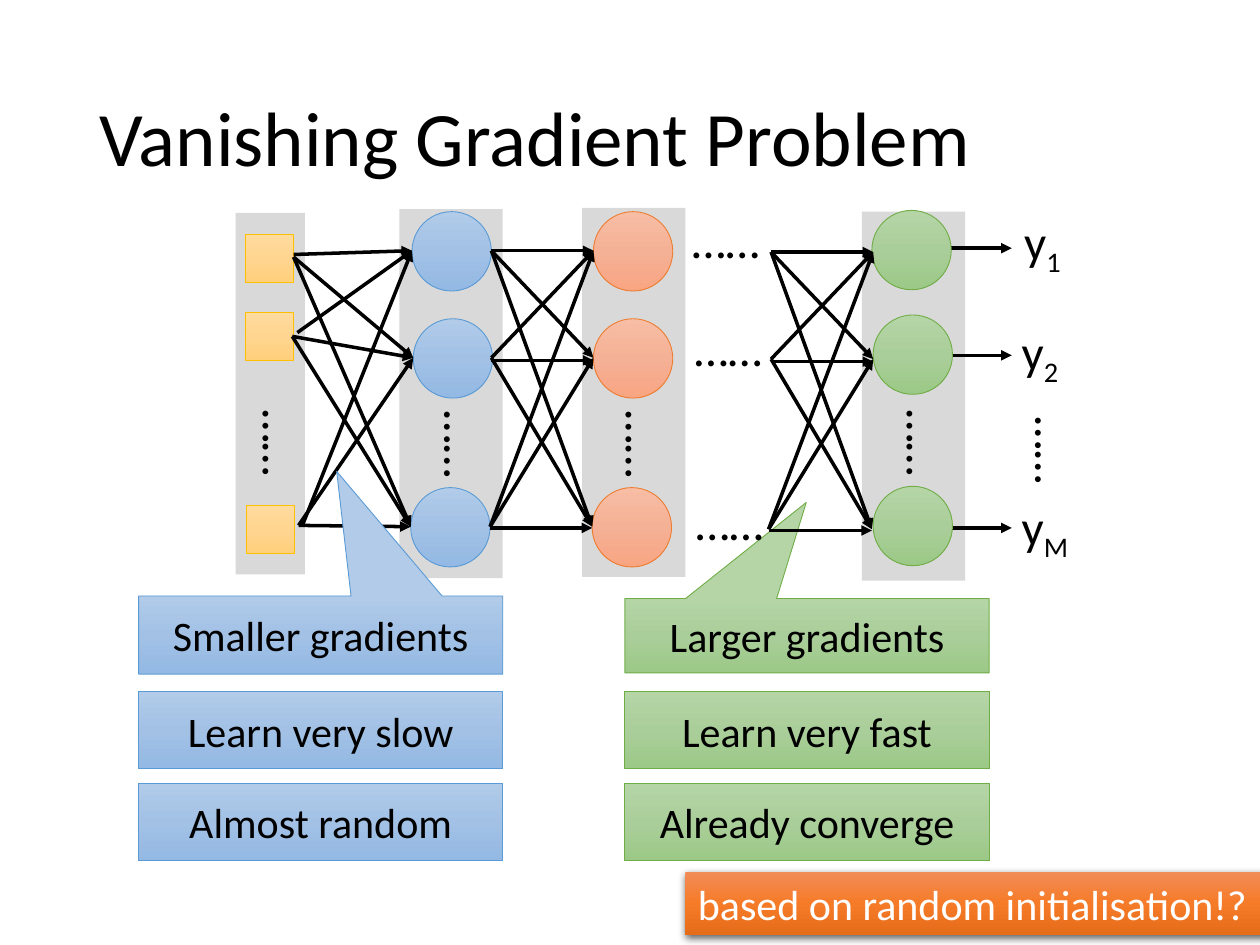
"""Build the slide on the vanishing gradient problem in a deep network."""
import copy
import itertools

import lxml.etree
import pptx
import pptx.dml.color
import pptx.enum.shapes
import pptx.enum.text
import pptx.oxml.ns
import pptx.util

Inches = pptx.util.Inches
Pt = pptx.util.Pt
qn = pptx.oxml.ns.qn
SHAPES = pptx.enum.shapes.MSO_SHAPE
ALIGN = pptx.enum.text.PP_ALIGN
ANCHOR = pptx.enum.text.MSO_ANCHOR

FONT = "Calibri"
DOTS = "……"
BLUE = (("B1CBE9", "A3C1E5", "93B9E4"), "5B9BD5")
GREEN = (("B5D5A7", "AACE9A", "9CC987"), "70AD47")
SALMON = (("F7BDA5", "F5B196", "F8A582"), "ED7D31")
YELLOW = (("FFDB9E", "FFD590", "FFD07C"), "FFC000")
ORANGE = (("F18C57", "F67B28", "E56C19"), None)


def color(value):
    """Turn a hex string into a colour."""
    return pptx.dml.color.RGBColor.from_string(value)


def frame(left, top, width, height):
    """Convert a place and size in inches to lengths."""
    return [Inches(value) for value in (left, top, width, height)]


def write(shape, text, size, ink="000000", align=ALIGN.CENTER, anchor=ANCHOR.MIDDLE, subscript=""):
    """Write one paragraph, with an optional subscript run."""
    body = shape.text_frame
    body.word_wrap = True
    body.vertical_anchor = anchor
    para = body.paragraphs[0]
    para.alignment = align
    for part in filter(None, (text, subscript)):
        span = para.add_run()
        span.text = part
        span.font.name = FONT
        span.font.size = Pt(size)
        span.font.color.rgb = color(ink)
    if subscript:
        span.font._element.set("baseline", "-25000")
    return para


def add_label(page, place, text, size=28, rotation=0, **style):
    """Add a text box."""
    box = page.shapes.add_textbox(*frame(*place))
    box.rotation = rotation
    return write(box, text, size, **style)


def add_dots(page, left, top, rotation=0):
    """Add a row or, when rotated, a column of dots."""
    add_label(page, (left, top, 0.84, 0.57), DOTS, rotation=rotation, anchor=ANCHOR.TOP)


def add_block(page, kind, place, theme):
    """Add a shape with a three-stop vertical gradient and a thin outline."""
    shades, edge = theme
    shape = page.shapes.add_shape(kind, *frame(*place))
    shape.shadow.inherit = False
    shape.fill.gradient()
    shape.fill.gradient_angle = 270
    stop_list = shape._element.spPr.find(".//" + qn("a:gsLst"))
    stop_list.insert(1, copy.deepcopy(stop_list[0]))
    for stop, shade, position in zip(shape.fill.gradient_stops, shades, (0, 0.5, 1)):
        stop.color.rgb = color(shade)
        stop.position = position
    if edge:
        shape.line.color.rgb = color(edge)
        shape.line.width = Pt(0.5)
    else:
        shape.line.fill.background()
    return shape


def add_callout(page, place, theme, text, pointer):
    """Add a callout whose pointer is given relative to its size."""
    shape = add_block(page, SHAPES.RECTANGULAR_CALLOUT, place, theme)
    shape.adjustments[0], shape.adjustments[1] = pointer
    write(shape, text, 24)


def add_band(page, place):
    """Add the grey band behind a layer."""
    shape = page.shapes.add_shape(SHAPES.RECTANGLE, *frame(*place))
    shape.shadow.inherit = False
    shape.fill.solid()
    shape.fill.fore_color.rgb = color("D9D9D9")
    shape.line.fill.background()


def add_arrow(page, start, end):
    """Add a black arrow between two points."""
    points = [Inches(value) for value in (*start, *end)]
    arrow = page.shapes.add_connector(pptx.enum.shapes.MSO_CONNECTOR.STRAIGHT, *points)
    arrow.line.color.rgb = color("000000")
    arrow.line.width = Pt(2)
    lxml.etree.SubElement(arrow.line._get_or_add_ln(), qn("a:tailEnd"), type="triangle")
    lxml.etree.SubElement(arrow._element.spPr, qn("a:effectLst"))


def connect(page, starts, ends):
    """Draw an arrow from every start to every end."""
    for start, end in itertools.product(starts, ends):
        add_arrow(page, start, end)


def add_dense_links(page, starts, ends, levels):
    """Link two layers, keeping links within a row level."""
    for (row, start), (target, end) in itertools.product(enumerate(starts), enumerate(ends)):
        if row == target:
            add_arrow(page, (start[0], levels[row]), (end[0], levels[row]))
        else:
            add_arrow(page, start, end)


def add_banner(page):
    """Add the orange banner with its soft shadow."""
    banner = add_block(page, SHAPES.RECTANGLE, (5.44, 6.92, 4.75, 0.5), ORANGE)
    write(banner, "based on random initialisation!?", 24, "FFFFFF", ALIGN.LEFT, ANCHOR.TOP)
    effects = banner._element.spPr.find(qn("a:effectLst"))
    shadow = lxml.etree.SubElement(
        effects, qn("a:outerShdw"), blurRad=str(Pt(4.5)), dist=str(Pt(1.5)),
        dir="5400000", algn="ctr", rotWithShape="0")
    tone = lxml.etree.SubElement(shadow, qn("a:srgbClr"), val="000000")
    lxml.etree.SubElement(tone, qn("a:alpha"), val="63000")


def add_remarks(page):
    """Add the two columns of remarks under the network."""
    columns = ((1.1, BLUE, ("Learn very slow", "Almost random")),
               (4.96, GREEN, ("Learn very fast", "Already converge")))
    for left, theme, remarks in columns:
        for row, remark in enumerate(remarks):
            place = (left, 5.49 + 0.73 * row, 2.89, 0.61)
            write(add_block(page, SHAPES.RECTANGLE, place, theme), remark, 24)


def add_nodes(page):
    """Add the units of every layer and the dots between them."""
    layers = (
        (SHAPES.RECTANGLE, 0.38, YELLOW, ((1.95, 1.86), (1.95, 2.48), (1.96, 4.01)), (1.82, 3.23)),
        (SHAPES.OVAL, 0.63, BLUE, ((3.27, 1.68), (3.28, 2.53), (3.26, 3.87)), (3.26, 3.24)),
        (SHAPES.OVAL, 0.63, SALMON, ((4.71, 1.68), (4.71, 2.53), (4.7, 3.87)), (4.7, 3.24)),
        (SHAPES.OVAL, 0.63, GREEN, ((6.92, 1.67), (6.93, 2.5), (6.93, 3.86)), (6.93, 3.23)),
    )
    for kind, size, theme, corners, dots in layers:
        for left, top in corners:
            add_block(page, kind, (left, top, size, size), theme)
        add_dots(page, *dots, rotation=90)
    for left, top in ((5.34, 1.61), (5.36, 2.47), (5.37, 3.85)):
        add_dots(page, left, top)


def add_links(page):
    """Add the arrows between neighbouring layers."""
    first_hidden = [(3.27, 1.99), (3.28, 2.84), (3.26, 4.18)]
    connect(page, [(2.33, 2.02), (2.36, 2.64), (2.4, 4.17)], first_hidden[:1])
    connect(page, [(2.33, 2.04), (2.32, 2.67), (2.37, 4.17)], first_hidden[1:])
    add_dense_links(page, [(3.9, 1.99), (3.9, 2.84), (3.89, 4.18)],
                    [(4.71, 1.99), (4.71, 2.84), (4.7, 4.18)], (1.99, 2.86, 4.19))
    add_dense_links(page, [(6.12, 2), (6.12, 2.85), (6.1, 4.2)],
                    [(6.93, 2), (6.93, 2.85), (6.92, 4.2)], (2, 2.87, 4.21))


def add_outputs(page):
    """Add the output names and the dots between them."""
    add_dots(page, 7.95, 3.29, rotation=90)
    for left, top, index in ((8.03, 1.63, "1"), (8.01, 2.5, "2"), (8.01, 3.89, "M")):
        add_label(page, (left, top, 0.69, 0.57), "y", align=ALIGN.LEFT,
                  anchor=ANCHOR.TOP, subscript=index)


def main():
    """Build and save the deck."""
    deck = pptx.Presentation()
    deck.slide_width, deck.slide_height = Inches(10), Inches(7.5)
    page = deck.slides.add_slide(deck.slide_layouts[6])
    title = add_label(page, (0.69, 0.4, 8.62, 1.45), "Vanishing Gradient Problem", 44, align=ALIGN.LEFT)
    title.line_spacing = 0.9
    add_callout(page, (4.96, 4.75, 2.89, 0.59), GREEN, "Larger gradients", (-0.002, -1.792))
    add_remarks(page)
    add_banner(page)
    for band in ((3.17, 1.66, 0.82, 2.93), (4.62, 1.65, 0.82, 2.93),
                 (6.84, 1.68, 0.82, 2.93), (1.87, 1.69, 0.55, 2.87)):
        add_band(page, band)
    for left, level in ((7.24, 1.97), (7.26, 2.82), (7.38, 4.19)):
        add_arrow(page, (left, level), (8.03, level))
    add_nodes(page)
    add_links(page)
    add_outputs(page)
    add_callout(page, (1.1, 4.73, 2.89, 0.62), BLUE, "Smaller gradients", (0.044, -2.095))
    deck.save("out.pptx")


if __name__ == "__main__":
    main()
